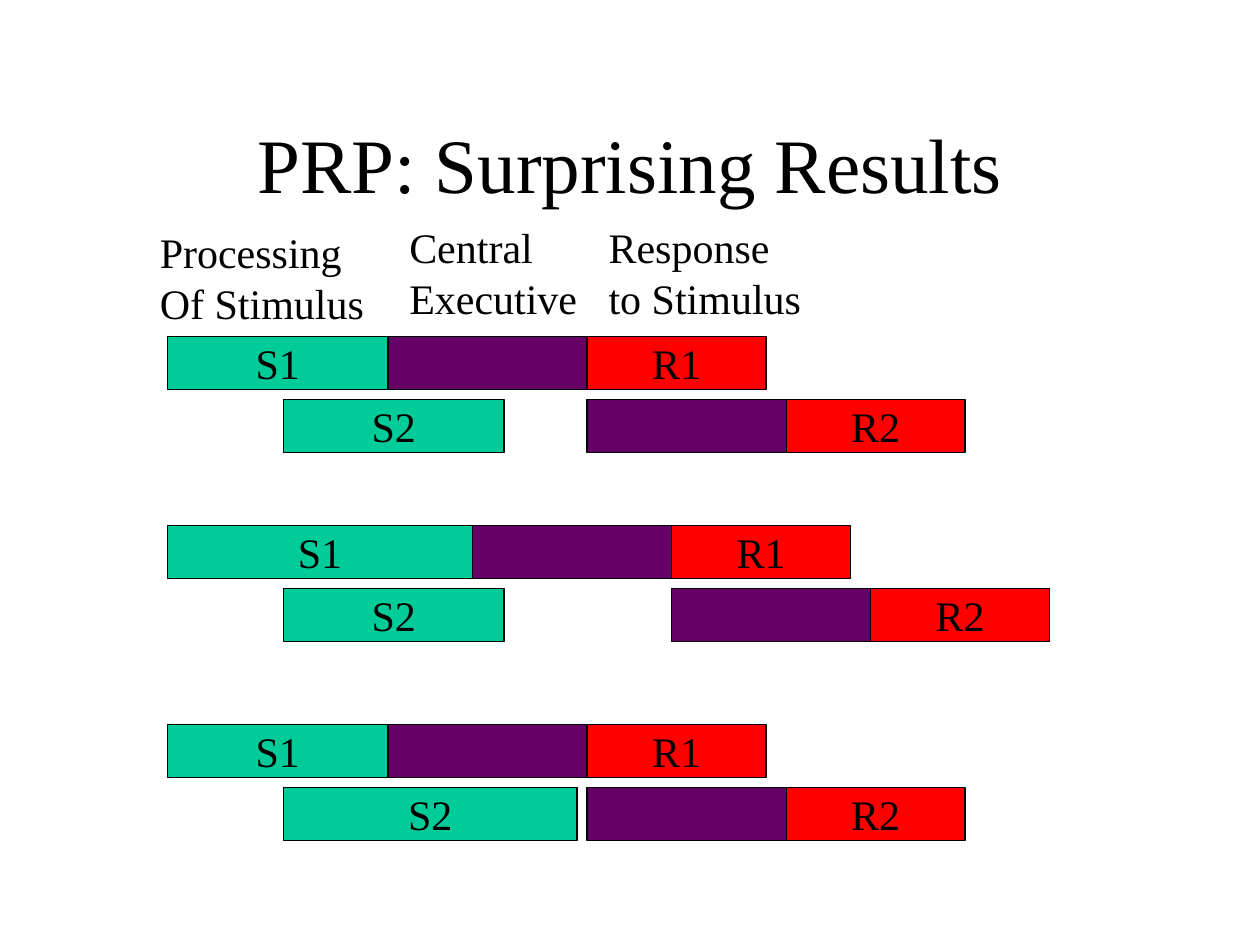
from dataclasses import dataclass

from pptx import Presentation
from pptx.dml.color import RGBColor
from pptx.enum.shapes import MSO_SHAPE
from pptx.enum.text import MSO_ANCHOR, PP_ALIGN
from pptx.util import Inches, Pt

RECTANGLE = MSO_SHAPE.RECTANGLE
MIDDLE = MSO_ANCHOR.MIDDLE
LEFT, CENTER = PP_ALIGN.LEFT, PP_ALIGN.CENTER

FONT = "Times New Roman"
BLACK, GREEN, PURPLE, RED = "000000", "00CC99", "660066", "FF0000"

# Timeline measures in inches
BAR_HEIGHT = 0.42
ROW_STEP = 0.5
FIRST_START, SECOND_START = 1.33, 2.25
EXECUTIVE_LENGTH, RESPONSE_LENGTH = 1.58, 1.42


@dataclass
class Trial:
    top: float
    first_stimulus: float
    second_stimulus: float


@dataclass
class Heading:
    text: str
    left: float
    top: float
    width: float
    indent: float = 0.1


TRIALS = [Trial(2.67, 1.75, 1.75), Trial(4.17, 2.42, 1.75), Trial(5.75, 1.75, 2.33)]
HEADINGS = [
    Heading("Processing\nOf Stimulus", 1.17, 1.75, 1.9),
    Heading("Central\nExecutive", 3.15, 1.71, 1.53),
    Heading("Response\nto Stimulus", 4.57, 1.71, 1.89, indent=0.26),
]


def color(value: str) -> RGBColor:
    return RGBColor.from_string(value)


def format_text(frame, size: float, alignment) -> None:
    for para in frame.paragraphs:
        para.alignment = alignment
        para.font.name = FONT
        para.font.size = Pt(size)
        para.font.color.rgb = color(BLACK)


def add_bar(page, left: float, top: float, length: float, fill: str, label: str = "") -> None:
    bar = page.shapes.add_shape(
        RECTANGLE, Inches(left), Inches(top), Inches(length), Inches(BAR_HEIGHT))
    bar.shadow.inherit = False
    bar.fill.solid()
    bar.fill.fore_color.rgb = color(fill)
    bar.line.color.rgb = color(BLACK)
    bar.line.width = Pt(0.75)
    if label:
        frame = bar.text_frame
        frame.text = label
        frame.word_wrap = False
        frame.vertical_anchor = MIDDLE
        format_text(frame, 24, CENTER)


def add_trial(page, trial: Trial) -> None:
    """The second task waits until the central executive is free."""
    executive = FIRST_START + trial.first_stimulus
    stimuli = [(FIRST_START, trial.first_stimulus), (SECOND_START, trial.second_stimulus)]
    for row, (start, length) in enumerate(stimuli):
        top = trial.top + row * ROW_STEP
        response = executive + EXECUTIVE_LENGTH
        add_bar(page, start, top, length, GREEN, f"S{row + 1}")
        add_bar(page, executive, top, EXECUTIVE_LENGTH, PURPLE)
        add_bar(page, response, top, RESPONSE_LENGTH, RED, f"R{row + 1}")
        executive = response


def add_heading(page, heading: Heading) -> None:
    box = page.shapes.add_textbox(
        Inches(heading.left), Inches(heading.top), Inches(heading.width), Inches(0.9))
    frame = box.text_frame
    frame.text = heading.text
    frame.word_wrap = True
    frame.margin_left = Inches(heading.indent)
    frame.margin_right = 0
    format_text(frame, 24, LEFT)


def main() -> None:
    deck = Presentation()
    deck.slide_width, deck.slide_height = Inches(10), Inches(7.5)
    page = deck.slides.add_slide(deck.slide_layouts[5])

    # Title
    title = page.shapes.title
    title.left, title.top = Inches(0.75), Inches(0.67)
    title.width, title.height = Inches(8.5), Inches(1.25)
    title.text_frame.text = "PRP: Surprising Results"
    title.text_frame.vertical_anchor = MIDDLE
    format_text(title.text_frame, 44, CENTER)

    # Stage headings and timelines
    for heading in HEADINGS:
        add_heading(page, heading)
    for trial in TRIALS:
        add_trial(page, trial)

    deck.save("out.pptx")


if __name__ == "__main__":
    main()
